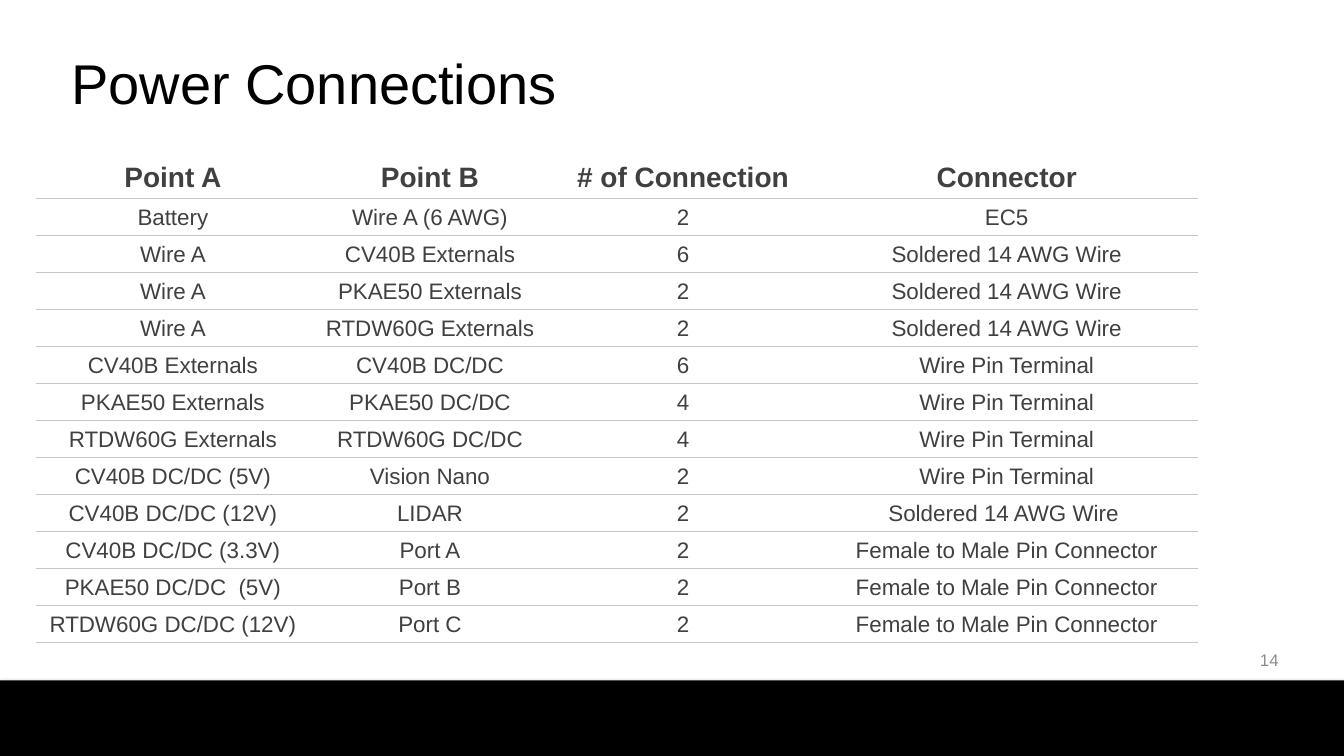
from lxml import etree
from pptx import Presentation
from pptx.dml.color import RGBColor
from pptx.enum.shapes import MSO_SHAPE
from pptx.enum.text import MSO_ANCHOR, PP_ALIGN
from pptx.oxml import parse_xml
from pptx.oxml.ns import qn
from pptx.util import Inches, Pt

RECT = MSO_SHAPE.RECTANGLE
MIDDLE, BOTTOM = MSO_ANCHOR.MIDDLE, MSO_ANCHOR.BOTTOM
LEFT, CENTER, RIGHT = PP_ALIGN.LEFT, PP_ALIGN.CENTER, PP_ALIGN.RIGHT

TITLE = "Power Connections"
PAGE = "14"
HEADER = ("Point A", "Point B", "# of Connection", "Connector")
CONNECTIONS = [
    ("Battery", "Wire A (6 AWG)", "2", "EC5"),
    ("Wire A", "CV40B Externals", "6", "Soldered 14 AWG Wire"),
    ("Wire A", "PKAE50 Externals", "2", "Soldered 14 AWG Wire"),
    ("Wire A", "RTDW60G Externals", "2", "Soldered 14 AWG Wire"),
    ("CV40B Externals", "CV40B DC/DC", "6", "Wire Pin Terminal"),
    ("PKAE50 Externals", "PKAE50 DC/DC", "4", "Wire Pin Terminal"),
    ("RTDW60G Externals", "RTDW60G DC/DC", "4", "Wire Pin Terminal"),
    ("CV40B DC/DC (5V)", "Vision Nano", "2", "Wire Pin Terminal"),
    ("CV40B DC/DC (12V)", "LIDAR", "2", "Soldered 14 AWG Wire "),
    ("CV40B DC/DC (3.3V)", "Port A", "2", "Female to Male Pin Connector"),
    ("PKAE50 DC/DC  (5V)", "Port B", "2", "Female to Male Pin Connector"),
    ("RTDW60G DC/DC (12V)", "Port C", "2", "Female to Male Pin Connector"),
]
COLORS = {"bar": "000000", "title": "000000", "body": "404040",
          "page": "8C8C8C", "rule": "C7C6C1"}
FONT = "Arial"
COL_WIDTHS = (2.68, 2.42, 2.6, 3.82)
HEADER_H, ROW_H = 0.49, 0.33
PLAIN_TABLE = "{2D5ABB26-0587-4C30-8999-92F81FD0307C}"
NS = 'xmlns:a="http://schemas.openxmlformats.org/drawingml/2006/main"'


def style(p, size, color, align=LEFT, bold=False):
    p.alignment = align
    p.font.name = FONT
    p.font.size = Pt(size)
    p.font.bold = bold
    p.font.color.rgb = RGBColor.from_string(COLORS[color])


def add_text(slide, box, text, size, color, align=LEFT):
    tf = slide.shapes.add_textbox(*map(Inches, box)).text_frame
    tf.word_wrap = True
    tf.vertical_anchor = MIDDLE
    tf.text = text
    style(tf.paragraphs[0], size, color, align)


def add_bar(slide):
    sp = slide.shapes.add_shape(RECT, 0, Inches(6.75), prs.slide_width, Inches(0.75))
    sp.fill.solid()
    sp.fill.fore_color.rgb = RGBColor.from_string(COLORS["bar"])
    sp.line.fill.background()
    sp.shadow.inherit = False
    effects = sp.element.spPr.find(qn("a:effectLst"))
    effects.append(parse_xml(
        f'<a:outerShdw {NS} blurRad="{Pt(3.1)}" dist="{Pt(1.8)}" dir="5400000" '
        f'rotWithShape="0"><a:srgbClr val="{COLORS["bar"]}">'
        f'<a:alpha val="35000"/></a:srgbClr></a:outerShdw>'))


def add_bottom_rule(cell):
    tcPr = cell._tc.get_or_add_tcPr()
    tcPr.insert(0, parse_xml(
        f'<a:lnB {NS} w="{Pt(0.75)}"><a:solidFill>'
        f'<a:srgbClr val="{COLORS["rule"]}"/></a:solidFill></a:lnB>'))


def add_connection_table(slide):
    rows = [HEADER] + CONNECTIONS
    heights = [HEADER_H] + [ROW_H] * len(CONNECTIONS)
    frame = slide.shapes.add_table(
        len(rows), len(HEADER), Inches(0.36), Inches(1.48),
        Inches(sum(COL_WIDTHS)), Inches(sum(heights)))
    table = frame.table
    table.first_row = table.horz_banding = False
    table._tbl.tblPr.find(qn("a:tableStyleId")).text = PLAIN_TABLE
    for col, width in zip(table.columns, COL_WIDTHS):
        col.width = Inches(width)
    for i, (values, height) in enumerate(zip(rows, heights)):
        table.rows[i].height = Inches(height)
        for cell, value in zip(table.rows[i].cells, values):
            cell.margin_left, cell.margin_right = Inches(0.11), Inches(0.08)
            cell.margin_top = cell.margin_bottom = Inches(0.05)
            cell.vertical_anchor = BOTTOM
            cell.fill.background()
            cell.text = value
            style(cell.text_frame.paragraphs[0], 16 if i else 20, "body", CENTER, i == 0)
            add_bottom_rule(cell)


prs = Presentation()
prs.slide_width, prs.slide_height = Inches(13.33), Inches(7.5)
slide = prs.slides.add_slide(prs.slide_layouts[6])
add_bar(slide)
add_text(slide, (0.61, 0.19, 12, 1.25), TITLE, 40, "title")
add_text(slide, (9.67, 6.35, 3.11, 0.4), PAGE, 12, "page", RIGHT)
add_connection_table(slide)
prs.save("out.pptx")
